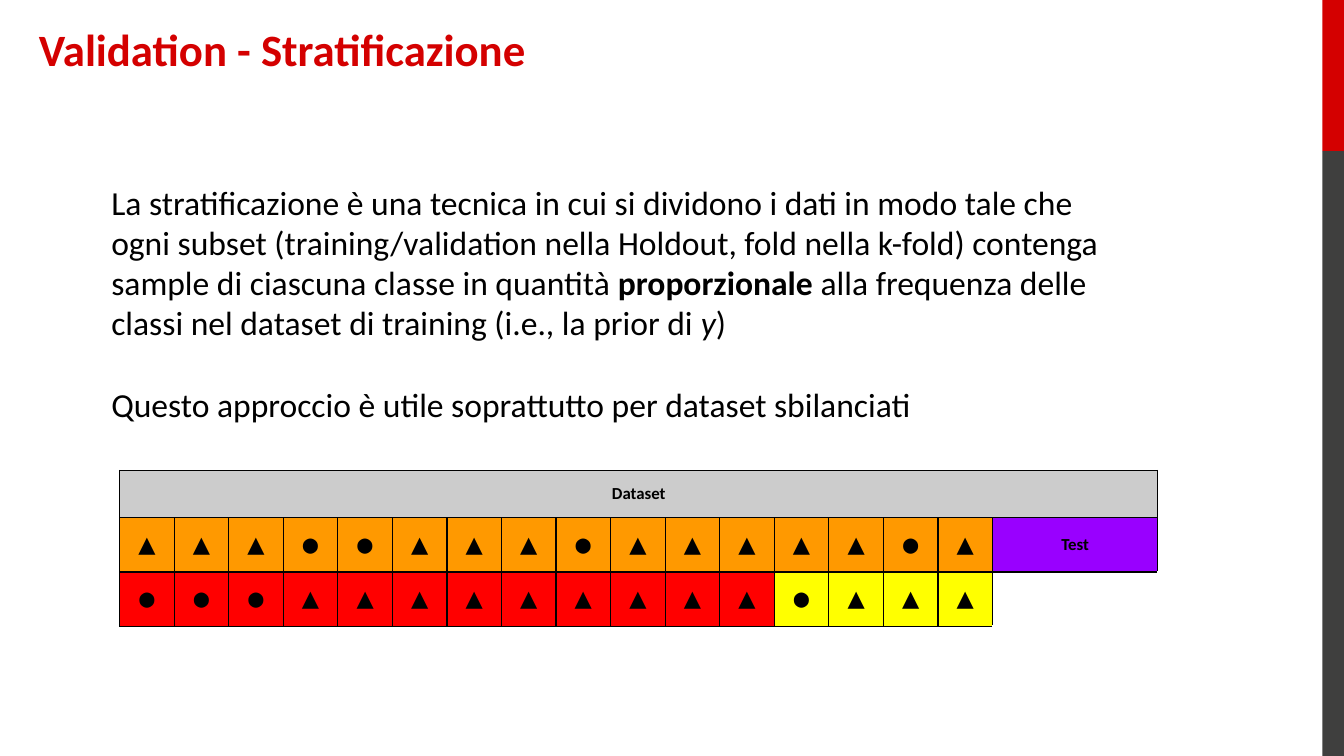
from dataclasses import dataclass

from lxml import etree
from pptx import Presentation
from pptx.dml.color import RGBColor
from pptx.enum.shapes import MSO_SHAPE
from pptx.enum.text import MSO_ANCHOR, PP_ALIGN
from pptx.oxml.ns import qn
from pptx.util import Inches, Pt

RECT = MSO_SHAPE.RECTANGLE
TOP, MIDDLE = MSO_ANCHOR.TOP, MSO_ANCHOR.MIDDLE
LEFT, CENTER = PP_ALIGN.LEFT, PP_ALIGN.CENTER

CRIMSON = RGBColor(0xD4, 0x00, 0x00)
DARK = RGBColor(0x3F, 0x3F, 0x3E)
BLACK = RGBColor(0x00, 0x00, 0x00)
GREY = RGBColor(0xCC, 0xCC, 0xCC)
ORANGE = RGBColor(0xFF, 0x99, 0x00)
PURPLE = RGBColor(0x99, 0x00, 0xFF)
RED = RGBColor(0xFF, 0x00, 0x00)
YELLOW = RGBColor(0xFF, 0xFF, 0x00)

FONT = "Calibri"
UP, DOT = "▲", "⬤"
SIZES = {UP: 12, DOT: 8}
PAGE_W = 10
PAGE_H = PAGE_W * 9 / 16
SPLIT = PAGE_H / 5
COUNT = 16
WIDTH, TEST = 7.73, 1.23
ROWS = (0.35, 0.4, 0.4)


@dataclass
class Bar:
    top: float
    height: float
    color: RGBColor


@dataclass
class Span:
    text: str
    bold: bool = False
    italic: bool = False


@dataclass
class Group:
    """Neighbouring samples of one subset, starting at a row and column."""
    row: int
    col: int
    marks: str
    color: RGBColor


BARS = [Bar(0, SPLIT, CRIMSON), Bar(SPLIT, PAGE_H - SPLIT, DARK)]
BODY = [
    [
        Span("La stratificazione è una tecnica in cui si dividono i dati in modo "
             "tale che ogni subset (training/validation nella Holdout, fold nella "
             "k-fold) contenga sample di ciascuna classe in quantità "),
        Span("proporzionale", bold=True),
        Span(" alla frequenza delle classi nel dataset di training "
             "(i.e., la prior di "),
        Span("y", italic=True),
        Span(")"),
    ],
    [Span("Questo approccio è utile soprattutto per dataset sbilanciati")],
]
GROUPS = [
    Group(1, 0, "▲▲▲⬤⬤▲▲▲⬤▲▲▲▲▲⬤▲", ORANGE),
    Group(2, 0, "⬤⬤⬤▲▲▲▲▲▲▲▲▲", RED),
    Group(2, 12, "⬤▲▲▲", YELLOW),
]


def style(run, size: float, color: RGBColor, bold=False, italic=False) -> None:
    font = run.font
    font.name, font.size = FONT, Pt(size)
    font.bold, font.italic = bold, italic
    font.color.rgb = color


def add_bar(slide, bar: Bar) -> None:
    shape = slide.shapes.add_shape(
        RECT, Inches(9.84), Inches(bar.top), Inches(0.16), Inches(bar.height))
    shape.shadow.inherit = False
    shape.fill.solid()
    shape.fill.fore_color.rgb = bar.color
    shape.line.fill.background()


def add_title(slide) -> None:
    title = slide.shapes.title
    title.left, title.top = Inches(0.28), Inches(0.15)
    title.width, title.height = Inches(7.97), Inches(0.42)
    frame = title.text_frame
    frame.text = "Validation - Stratificazione"
    frame.vertical_anchor = TOP
    frame.margin_left = frame.margin_top = Inches(0.01)
    frame.margin_right = frame.margin_bottom = 0
    para = frame.paragraphs[0]
    para.alignment = LEFT
    style(para.runs[0], 24, CRIMSON, bold=True)


def add_body(slide) -> None:
    box = slide.shapes.add_textbox(
        Inches(0.73), Inches(1.25), Inches(WIDTH), Inches(2.02))
    frame = box.text_frame
    frame.word_wrap = True
    frame.margin_left = frame.margin_right = Inches(0.1)
    frame.margin_top = frame.margin_bottom = Inches(0.1)
    for i, spans in enumerate(BODY):
        para = frame.add_paragraph() if i else frame.paragraphs[0]
        para.space_before = Pt(22 if i else 0)
        for span in spans:
            run = para.add_run()
            run.text = span.text
            style(run, 18, BLACK, span.bold, span.italic)


def add_edges(cell, sides: str) -> None:
    """Draw thin black borders on the given sides, in the order L, R, T, B."""
    props = cell._tc.get_or_add_tcPr()
    for side in sides:
        line = etree.SubElement(props, qn(f"a:ln{side}"), w=str(Pt(0.75)))
        fill = etree.SubElement(line, qn("a:solidFill"))
        etree.SubElement(fill, qn("a:srgbClr"), val=str(BLACK))


def fill_cell(cell, text: str, color: RGBColor, size: float = 9) -> None:
    cell.fill.solid()
    cell.fill.fore_color.rgb = color
    cell.margin_top = cell.margin_bottom = Inches(0.1)
    cell.text = text
    para = cell.text_frame.paragraphs[0]
    para.alignment = CENTER
    style(para.runs[0], size, BLACK, bold=True)


def add_grid(slide) -> None:
    frame = slide.shapes.add_table(
        len(ROWS), COUNT + 1, Inches(0.89), Inches(3.5),
        Inches(WIDTH), Inches(sum(ROWS)))
    table = frame.table
    table.first_row = table.horz_banding = False
    for row, height in zip(table.rows, ROWS):
        row.height = Inches(height)
    for col in table.columns:
        col.width = Inches((WIDTH - TEST) / COUNT)
    table.columns[COUNT].width = Inches(TEST)

    blank = table.cell(2, COUNT)
    for cell in table.iter_cells():
        cell.vertical_anchor = MIDDLE
        cell.margin_left = cell.margin_right = 0
        cell.margin_top = cell.margin_bottom = 0
        add_edges(cell, "LT" if cell == blank else "LRTB")
    blank.fill.background()

    head = table.cell(0, 0)
    head.merge(table.cell(0, COUNT))
    fill_cell(head, "Dataset", GREY)
    fill_cell(table.cell(1, COUNT), "Test", PURPLE)
    for group in GROUPS:
        for col, mark in enumerate(group.marks, group.col):
            fill_cell(table.cell(group.row, col), mark, group.color, SIZES[mark])


def main() -> None:
    deck = Presentation()
    deck.slide_width, deck.slide_height = Inches(PAGE_W), Inches(PAGE_H)
    slide = deck.slides.add_slide(deck.slide_layouts[5])
    for bar in BARS:
        add_bar(slide, bar)
    add_title(slide)
    add_grid(slide)
    add_body(slide)
    deck.save("out.pptx")


if __name__ == "__main__":
    main()
